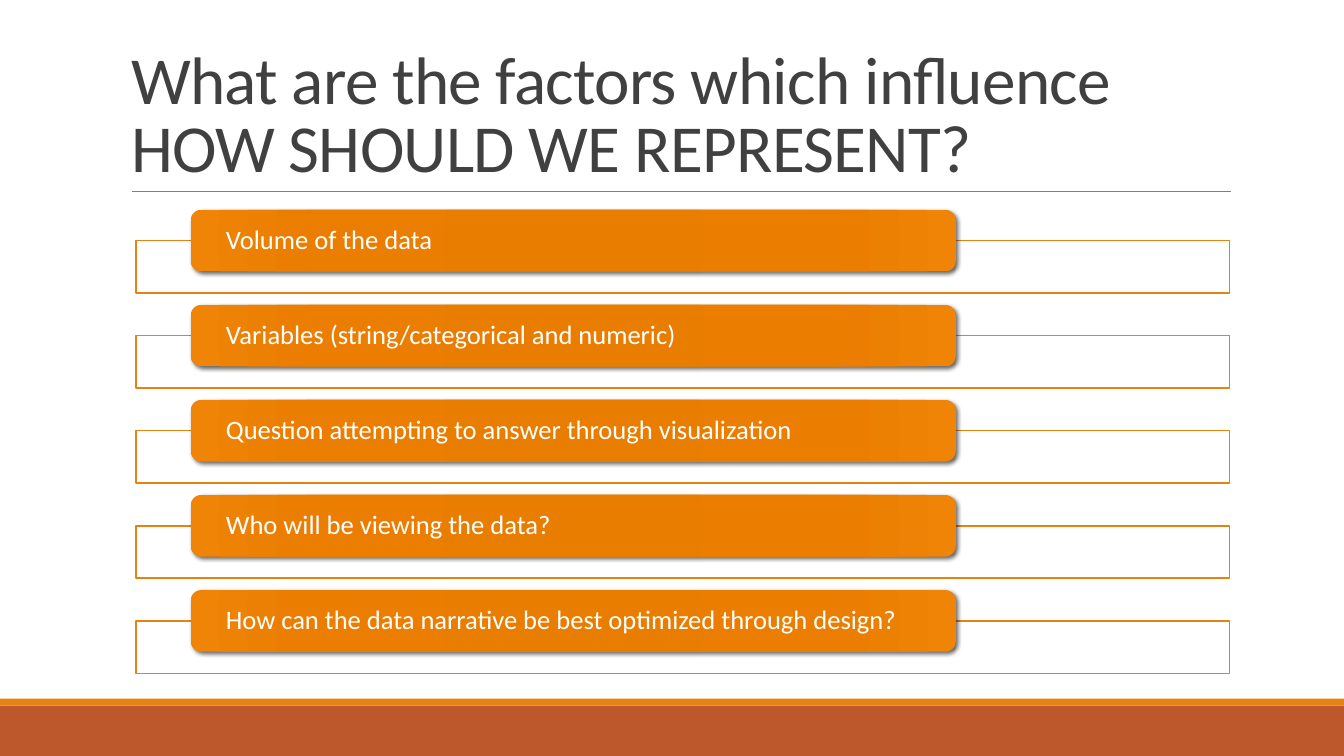
from typing import NamedTuple

from pptx import Presentation
from pptx.dml.color import RGBColor
from pptx.enum.shapes import MSO_CONNECTOR, MSO_SHAPE
from pptx.enum.text import MSO_ANCHOR, MSO_AUTO_SIZE, PP_ALIGN
from pptx.oxml import parse_xml
from pptx.oxml.ns import nsdecls, qn
from pptx.util import Pt

RECT = MSO_SHAPE.RECTANGLE
ROUNDED = MSO_SHAPE.ROUNDED_RECTANGLE
STRAIGHT = MSO_CONNECTOR.STRAIGHT
LEFT = PP_ALIGN.LEFT
MIDDLE, BOTTOM = MSO_ANCHOR.MIDDLE, MSO_ANCHOR.BOTTOM
FONT = "Calibri"
ORANGE, RUST, WHITE, GREY, DARK = "E48312", "BD582C", "FFFFFF", "808080", "404040"
GLOW = [(0, "E57B00"), (34, "E87D00"), (70, "EB7E00"), (100, "EF8407")]
ROW_PITCH = 67.9


class Box(NamedTuple):
    left: float
    top: float
    width: float
    height: float

    def down(self, offset: float) -> "Box":
        return self._replace(top=self.top + offset)

    def lengths(self) -> list:
        return [Pt(v) for v in self]


TITLE = Box(86.4, 22.3, 792, 114.5)
FRAME = Box(97.2, 171.9, 781.2, 37.4)
LABEL = Box(136.2, 149.9, 546.5, 44)
FOOTER_BARS = [(Box(0, 504, 960, 36), RUST), (Box(0, 499, 960, 5), ORANGE)]
FACTORS = [
    "Volume of the data",
    "Variables (string/categorical and numeric)",
    "Question attempting to answer through visualization",
    "Who will be viewing the data?",
    "How can the data narrative be best optimized through design?",
]


def rgb(value: str) -> RGBColor:
    return RGBColor.from_string(value)


def set_text(sp, text: str, size: float, color: str, spacing: float, frame: dict):
    tf = sp.text_frame
    for name, value in frame.items():
        setattr(tf, name, value)
    p = tf.paragraphs[0]
    p.alignment, p.line_spacing = LEFT, spacing
    r = p.add_run()
    r.text = text
    for name, value in {"name": FONT, "size": Pt(size), "bold": False}.items():
        setattr(r.font, name, value)
    r.font.color.rgb = rgb(color)
    return r


def add_box(slide, box: Box, shape=RECT, fill: str = "", line: str = ""):
    sp = slide.shapes.add_shape(shape, *box.lengths())
    sp.shadow.inherit = False
    if fill:
        sp.fill.solid()
        sp.fill.fore_color.rgb = rgb(fill)
    if line:
        sp.line.color.rgb = rgb(line)
        sp.line.width = Pt(1)
    else:
        sp.line.fill.background()
    return sp


def add_glow_and_shadow(sp) -> None:
    """Give the shape a radial gradient and a soft shadow to the lower right."""
    stops = "".join(
        f'<a:gs pos="{pos * 1000}"><a:srgbClr val="{color}"/></a:gs>' for pos, color in GLOW)
    sp_pr = sp._element.spPr
    sp_pr.find(qn("a:prstGeom")).addnext(parse_xml(
        f'<a:gradFill {nsdecls("a")} rotWithShape="1"><a:gsLst>{stops}</a:gsLst>'
        '<a:path path="circle"><a:fillToRect l="100000" t="100000" r="100000" b="100000"/>'
        '</a:path></a:gradFill>'))
    sp_pr.find(qn("a:effectLst")).append(parse_xml(
        f'<a:outerShdw {nsdecls("a")} blurRad="{Pt(3)}" dist="{Pt(2)}" dir="2700000" '
        'algn="tl" rotWithShape="0"><a:srgbClr val="000000"><a:alpha val="60000"/>'
        '</a:srgbClr></a:outerShdw>'))


def add_title(slide) -> None:
    sp = slide.shapes.title
    for name, value in zip(TITLE._fields, TITLE.lengths()):
        setattr(sp, name, value)
    r = set_text(sp, "What are the factors which influence HOW SHOULD WE REPRESENT?",
                 48, DARK, 0.85, {"word_wrap": True, "vertical_anchor": BOTTOM,
                                  "auto_size": MSO_AUTO_SIZE.NONE})
    r.font._element.set("spc", "-50")


def add_title_rule(slide) -> None:
    rule = slide.shapes.add_connector(STRAIGHT, Pt(94.5), Pt(136.8), Pt(879), Pt(136.8))
    rule.line.color.rgb = rgb(GREY)
    rule.line.width = Pt(0.5)
    rule._element.spPr.append(parse_xml(f'<a:effectLst {nsdecls("a")}/>'))


def add_factor(slide, text: str, offset: float) -> None:
    frame = add_box(slide, FRAME.down(offset), fill=WHITE, line=ORANGE)
    color = frame._element.spPr.find(qn("a:solidFill"))[0]
    color.append(parse_xml(f'<a:alpha {nsdecls("a")} val="90000"/>'))
    label = add_box(slide, LABEL.down(offset), ROUNDED)
    label.adjustments[0] = 0.17
    add_glow_and_shadow(label)
    set_text(label, text, 19, WHITE, 0.9, {
        "word_wrap": True, "vertical_anchor": MIDDLE, "margin_left": Pt(23),
        "margin_right": Pt(23), "margin_top": 0, "margin_bottom": 0})


def main() -> None:
    prs = Presentation()
    prs.slide_width, prs.slide_height = Pt(960), Pt(540)
    slide = prs.slides.add_slide(prs.slide_layouts[5])
    for box, color in FOOTER_BARS:
        add_box(slide, box, fill=color)
    add_title_rule(slide)
    add_title(slide)
    for i, text in enumerate(FACTORS):
        add_factor(slide, text, i * ROW_PITCH)
    prs.save("out.pptx")


if __name__ == "__main__":
    main()
